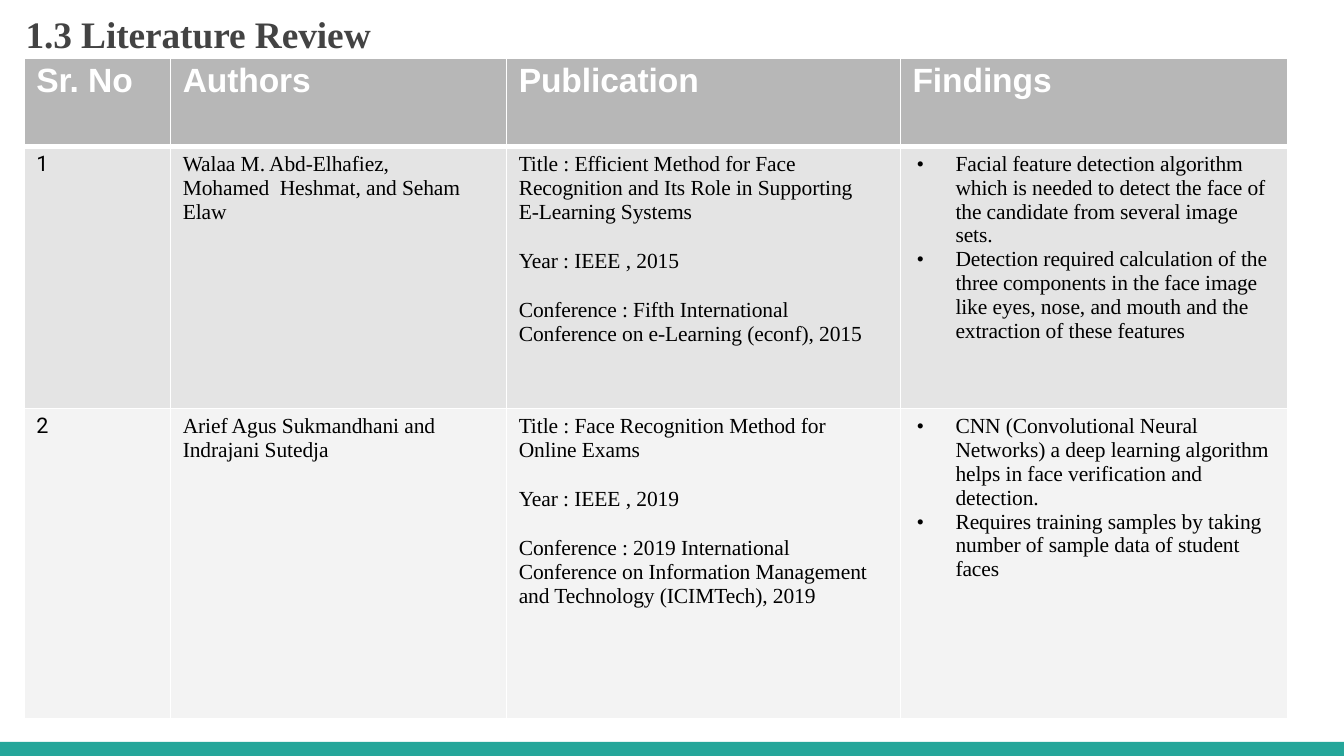
import pptx
import pptx.dml.color
import pptx.enum.shapes
import pptx.enum.text
import pptx.oxml
import pptx.oxml.ns
import pptx.util
from pptx.util import Inches, Pt

RGBColor = pptx.dml.color.RGBColor
WHITE = RGBColor(0xFF, 0xFF, 0xFF)
BLACK = RGBColor(0x00, 0x00, 0x00)
CHARCOAL = RGBColor(0x43, 0x43, 0x43)
TEAL = RGBColor(0x25, 0xA6, 0x9A)
HEADER_GREY = RGBColor(0xB7, 0xB7, 0xB7)
ROW_GREYS = [RGBColor(0xE4, 0xE4, 0xE4), RGBColor(0xF3, 0xF3, 0xF3)]
SERIF = "Times New Roman"

HEADERS = ["Sr. No", "Authors", "Publication", "Findings"]
COLUMN_WIDTHS = [1.09, 2.5, 2.93, 2.88]
RIGHT_INSETS = [0, 0.25, 0.18, 0.1]
ROW_HEIGHTS = [0.66, 1.95, 2.31]
STUDIES = [
    (
        ["1"],
        ["Walaa M. Abd-Elhafiez, Mohamed  Heshmat, and Seham Elaw"],
        [
            "Title : Efficient Method for Face  Recognition and Its Role in Supporting  E-Learning Systems",
            "Year : IEEE , 2015",
            "Conference : Fifth International  Conference on e-Learning (econf), 2015",
        ],
        [
            "Facial feature detection algorithm  which is needed to detect the face of  "
            "the candidate from several image  sets.",
            "Detection required calculation of the  three components in the face image  "
            "like eyes, nose, and mouth and the  extraction of these features",
        ],
    ),
    (
        ["2"],
        ["Arief Agus Sukmandhani and  Indrajani Sutedja"],
        [
            "Title : Face Recognition Method for  Online Exams",
            "Year : IEEE , 2019",
            "Conference : 2019 International  Conference on Information Management  "
            "and Technology (ICIMTech), 2019",
        ],
        [
            "CNN (Convolutional Neural  Networks) a deep learning algorithm  "
            "helps in face verification and  detection.",
            "Requires training samples by taking  number of sample data of student  faces",
        ],
    ),
]


class ReviewSlide:
    """Holds the table style and the slide, and adds each kind of element."""

    def __init__(self, page):
        self.page = page
        self.indent = Inches(0.09)
        self.bullet_margin = Inches(0.41)
        self.bullet_hang = Inches(-0.29)

    def format_text(self, para, size, font, color, bold=False):
        for span in para.runs:
            span.font.size = Pt(size)
            span.font.name = font
            span.font.bold = bold
            span.font.color.rgb = color
            span.font._element.set("spc", "-5")

    def set_indent(self, para, margin, hang=0):
        properties = para._p.get_or_add_pPr()
        properties.set("marL", str(margin))
        properties.set("indent", str(hang))
        return properties

    def set_insets(self, holder, top, right=0):
        holder.margin_left = holder.margin_bottom = 0
        holder.margin_top = Inches(top)
        holder.margin_right = Inches(right)
        holder.vertical_anchor = pptx.enum.text.MSO_ANCHOR.TOP

    def title(self, text, left, top, width, height):
        box = self.page.shapes.title
        box.left, box.top = Inches(left), Inches(top)
        box.width, box.height = Inches(width), Inches(height)
        frame = box.text_frame
        frame.text = text
        frame.word_wrap = True
        frame.auto_size = pptx.enum.text.MSO_AUTO_SIZE.SHAPE_TO_FIT_TEXT
        self.set_insets(frame, 0.01)
        para = frame.paragraphs[0]
        para.alignment = pptx.enum.text.PP_ALIGN.LEFT
        para.space_before = Pt(1)
        self.set_indent(para, Inches(0.01))
        self.format_text(para, 20, SERIF, CHARCOAL, bold=True)

    def band(self, left, top, width, height, color):
        band = self.page.shapes.add_shape(
            pptx.enum.shapes.MSO_SHAPE.RECTANGLE,
            Inches(left), Inches(top), Inches(width), Inches(height))
        band.shadow.inherit = False
        band.fill.solid()
        band.fill.fore_color.rgb = color
        band.line.fill.background()

    def table(self, left, top, widths, heights):
        table = self.page.shapes.add_table(
            len(heights), len(widths), Inches(left), Inches(top),
            Inches(sum(widths)), Inches(sum(heights))).table
        table.first_row = table.horz_banding = False
        for column, width in zip(table.columns, widths):
            column.width = Inches(width)
        for row, height in zip(table.rows, heights):
            row.height = Inches(height)
        return table

    def borders(self, cell, top, bottom):
        properties = cell._tc.get_or_add_tcPr()
        sides = {"lnL": 1, "lnR": 1, "lnT": top, "lnB": bottom}
        for position, (side, weight) in enumerate(sides.items()):
            line = pptx.oxml.parse_xml(
                f'<a:{side} {pptx.oxml.ns.nsdecls("a")} w="{Pt(weight)}">'
                f'<a:solidFill><a:srgbClr val="{WHITE}"/></a:solidFill></a:{side}>')
            properties.insert(position, line)

    def bullet(self, para):
        properties = self.set_indent(para, self.bullet_margin, self.bullet_hang)
        for element in (f'buFont {{}} typeface="{SERIF}"', 'buChar {} char="•"'):
            content = element.format(pptx.oxml.ns.nsdecls("a"))
            properties.append(pptx.oxml.parse_xml(f"<a:{content}/>"))

    def cell(self, cell, lines, fill, size, font, color, inset=0.04, right=0,
             before=2.5, gap=0, bold=False, bulleted=False, top=1, bottom=1):
        cell.fill.solid()
        cell.fill.fore_color.rgb = fill
        self.borders(cell, top, bottom)
        self.set_insets(cell, inset, right)
        cell.text_frame.text = "\n".join(lines)
        for number, para in enumerate(cell.text_frame.paragraphs):
            para.space_before = Pt(gap if number else before)
            if bulleted:
                self.bullet(para)
            else:
                self.set_indent(para, self.indent)
            self.format_text(para, size, font, color, bold)


def main():
    deck = pptx.Presentation()
    deck.slide_width, deck.slide_height = Inches(10), Inches(10 * 9 / 16)
    review = ReviewSlide(deck.slides.add_slide(deck.slide_layouts[5]))
    review.band(0, 5.52, 10, 0.11, TEAL)
    review.title("1.3 Literature Review", 0.18, 0.07, 2.6, 0.36)
    table = review.table(0.18, 0.43, COLUMN_WIDTHS, ROW_HEIGHTS)
    for column, header in enumerate(HEADERS):
        review.cell(table.cell(0, column), [header], HEADER_GREY, 18, "Arial", WHITE,
                    inset=0.03, before=2.2, bold=True, bottom=3)
    for row, (study, grey) in enumerate(zip(STUDIES, ROW_GREYS), start=1):
        for column, lines in enumerate(study):
            heading = HEADERS[column]
            review.cell(table.cell(row, column), lines, grey, 11.5,
                        "Roboto" if heading == "Sr. No" else SERIF, BLACK,
                        right=RIGHT_INSETS[column],
                        gap=13.5 if heading == "Publication" else 0,
                        bulleted=heading == "Findings", top=3 if row == 1 else 1)
    deck.save("out.pptx")


if __name__ == "__main__":
    main()
